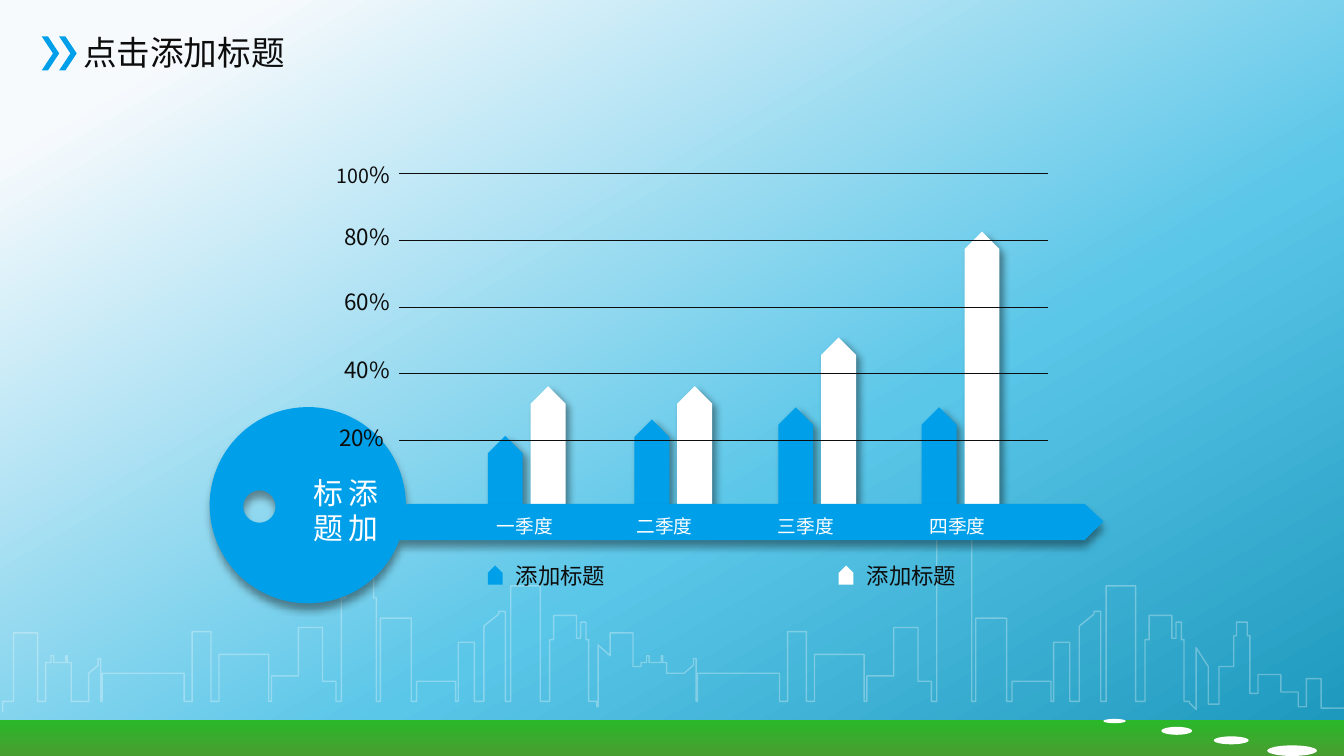
import math

import lxml.etree
import pptx
import pptx.dml.color
import pptx.enum.dml
import pptx.enum.shapes
import pptx.enum.text
import pptx.oxml
import pptx.oxml.ns
import pptx.util

Cm, Pt = pptx.util.Cm, pptx.util.Pt
KIND = pptx.enum.shapes.MSO_SHAPE
ALIGN = pptx.enum.text.PP_ALIGN
qn = pptx.oxml.ns.qn

FONT = "Noto Sans CJK SC"
COLORS = {"blue": "009FE9", "white": "FFFFFF", "ink": "0D0D0D", "shade": "000000",
          "deep": "1A96BB", "sky": "5AC6E8", "haze": "F7FAFD",
          "moss": "499D2F", "grass": "2AB82A"}

GRID = 0.0254  # cm per unit of the outline coordinates
STREET = 522
BLOCK_SHIFT = 443  # the same row of buildings stands twice

# Each step: height of a roof, its right edge, and its height there if it slopes
COTTAGE = [(493, 38), (488, 40), (493, 49), (488, 50), (493, 53)]
OFFICES = [(501, 73, 495), (490, 75), (STREET, 76), (501, 137), (STREET, 143), (470, 157),
           (STREET, 163), (487, 200), (STREET, 202), (503, 222), (467, 240), (507, 250),
           (STREET, 254)]
TOWERS = [(STREET, 283), (460, 306), (STREET, 310), (507, 339), (STREET, 341), (478, 353),
          (STREET, 360), (466, 371, 457), (455, 376), (STREET, 380), (436, 402),
          (STREET, 409), (476, 412), (458, 429), (475, 432), (463, 436), (476, 438)]
SPIRE = [(445, 257), (427, 263), (411, 266), (389, 266), (411, 270), (427, 278), (445, 280)]
SLAB = [(396, 280)]
EAST_END = [(STREET, 885), (523, 890, 528), (482, 899, 496), (524, 907), (496, 918),
            (473, 920), (463, 928), (473, 930), (516, 936), (502, 953), (515, 966),
            (526, 972), (505, 983), (527, 1000)]

STONES = [(20.85, 13.59, 0.43, 0.08), (21.95, 13.74, 0.58, 0.15),
          (22.94, 13.92, 0.66, 0.15), (23.95, 14.09, 0.94, 0.2)]

# Quarter, left of its label, left of its bars, heights of the blue and white bar
QUARTERS = [("一季度", 8.84, 9.22, 1.37, 2.31), ("二季度", 11.48, 11.99, 1.68, 2.31),
            ("三季度", 14.15, 14.71, 1.91, 3.23), ("四季度", 17.02, 17.42, 1.91, 5.23)]


def rgb(name):
    return pptx.dml.color.RGBColor.from_string(COLORS[name])


def paint(shape, color, shadow_angle=None):
    shape.shadow.inherit = False
    shape.line.fill.background()
    shape.fill.solid()
    shape.fill.fore_color.rgb = rgb(color)
    if shadow_angle is not None:
        effects = shape._element.spPr.find(qn("a:effectLst"))
        shadow = lxml.etree.SubElement(effects, qn("a:outerShdw"), blurRad=str(Pt(4)),
                                       dist=str(Pt(3)), dir=str(shadow_angle * 60000),
                                       algn="t", rotWithShape="0")
        tint = lxml.etree.SubElement(shadow, qn("a:srgbClr"), val=COLORS["shade"])
        lxml.etree.SubElement(tint, qn("a:alpha"), val="40000")


def add_preset(page, kind, left, top, width, height, color, adjust=(), shadow_angle=None):
    shape = page.shapes.add_shape(kind, Cm(left), Cm(top), Cm(width), Cm(height))
    for index, value in enumerate(adjust):
        shape.adjustments[index] = value
    paint(shape, color, shadow_angle)
    return shape


def add_gradient(page, top, height, stops, angle):
    shape = add_preset(page, KIND.RECTANGLE, 0, top, 25.4, height, stops[0][1])
    shape.fill.gradient()
    gradient = shape._element.spPr.find(qn("a:gradFill"))
    for child in list(gradient):
        gradient.remove(child)
    stop_list = lxml.etree.SubElement(gradient, qn("a:gsLst"))
    for position, color in stops:
        stop = lxml.etree.SubElement(stop_list, qn("a:gs"), pos=str(position * 1000))
        lxml.etree.SubElement(stop, qn("a:srgbClr"), val=COLORS[color])
    lxml.etree.SubElement(gradient, qn("a:lin"), ang=str(angle * 60000), scaled="0")


def add_outline(page, contours, close=True):
    contours = [[(Cm(x * GRID), Cm(y * GRID)) for x, y in points] for points in contours]
    builder = page.shapes.build_freeform(*contours[0][0])
    for index, points in enumerate(contours):
        if index:
            builder.move_to(*points[0])
        builder.add_line_segments(points[1:], close=close)
    return builder.convert_to_shape()


def format_span(span, size, color):
    span.font.size = Pt(size)
    span.font.name = FONT
    span.font.color.rgb = rgb(color)
    lxml.etree.SubElement(span._r.get_or_add_rPr(), qn("a:ea"), typeface=FONT)


def add_text(page, left, top, width, height, lines, size, color="ink", align=ALIGN.LEFT):
    box = page.shapes.add_textbox(Cm(left), Cm(top), Cm(width), Cm(height))
    frame = box.text_frame
    frame.text = lines
    frame.word_wrap = True
    frame.auto_size = pptx.enum.text.MSO_AUTO_SIZE.SHAPE_TO_FIT_TEXT
    for para in frame.paragraphs:
        para.alignment = align
        for span in para.runs:
            format_span(span, size, color)
    return box


def add_gridline(page, top):
    line = page.shapes.add_connector(pptx.enum.shapes.MSO_CONNECTOR.STRAIGHT,
                                     Cm(7.54), Cm(top), Cm(19.79), Cm(top))
    line.line.color.rgb = rgb("ink")
    line.line.width = Pt(0.25)
    line.line.dash_style = pptx.enum.dml.MSO_LINE.ROUND_DOT
    lxml.etree.SubElement(line._element.spPr, qn("a:effectLst"))


def arc(x, y, radius, start, end, steps=90):
    angles = [math.radians(start + (end - start) * i / steps) for i in range(steps + 1)]
    return [(x + radius * math.cos(a), y + radius * math.sin(a)) for a in angles]


def city_block(shift, yard, alley, landmark):
    steps = [(471, 28), (yard, 34), *COTTAGE, (alley, 66), *OFFICES, *landmark, *TOWERS]
    return [(height, right + shift, *slope) for height, right, *slope in steps]


def add_skyline(page):
    steps = [(STREET, 10), *city_block(0, STREET, STREET, SPIRE),
             (STREET, 444), (526, 445), (480, 454, 488),
             *city_block(BLOCK_SHIFT, 496, 501, SLAB), *EAST_END]
    points = [(2, 530)]
    for height, right, *slope in steps:
        points += [(points[-1][0], height), (right, slope[0] if slope else height)]
    shape = add_outline(page, [points], close=False)
    shape.shadow.inherit = False
    shape.fill.background()
    shape.line.width = Pt(0.75)
    shape.line.color.rgb = rgb("white")
    tint = shape._element.spPr.find(qn("a:ln")).find(".//" + qn("a:srgbClr"))
    lxml.etree.SubElement(tint, qn("a:alpha"), val="30000")


def add_key(page):
    hole = arc(193, 377, 12, 0, -360)
    body = arc(229, 376, 73, 20.6, 360) + [(303, 375), (807, 375), (821, 388),
                                           (807, 402), (298, 402)]
    paint(add_outline(page, [hole, body]), "blue", 90)
    box = add_text(page, 5.44, 8.79, 1.88, 1.6, "添加\n标题", 16, "white", ALIGN.JUSTIFY)
    box.text_frame.word_wrap = False
    box.text_frame._txBody.bodyPr.set("vert", "eaVert")
    for para in box.text_frame.paragraphs:
        para.runs[0]._r.get_or_add_rPr().set("spc", "300")


def main():
    deck = pptx.Presentation()
    deck.slide_width, deck.slide_height = Cm(25.4), Cm(14.29)
    page = deck.slides.add_slide(deck.slide_layouts[6])

    # Scenery
    add_gradient(page, 0, 14.29, [(0, "deep"), (39, "sky"), (90, "haze")], 240)
    add_gradient(page, 13.61, 0.68, [(0, "moss"), (100, "grass")], 270)
    add_skyline(page)
    for stone in STONES:
        add_preset(page, KIND.OVAL, *stone, "white")

    # Title
    title = add_text(page, 1.32, 0.89, 4.83, 0.61, "点击添加标题", 18)
    title.text_frame.paragraphs[0].line_spacing = Pt(10)
    for left in (0.79, 1.12):
        add_preset(page, KIND.CHEVRON, left, 0.69, 0.33, 0.64, "blue", [0.64])

    # Bars, then the key they stand on
    for _, _, left, *heights in QUARTERS:
        for index, (height, color) in enumerate(zip(heights, ("blue", "white"))):
            add_preset(page, KIND.UP_ARROW, left + 0.81 * index, 9.61 - height, 0.66, height,
                       color, [1, 0.5], 45)
    add_key(page)
    for quarter, left, *_ in QUARTERS:
        add_text(page, left, 9.6, 2.16, 0.53, quarter, 10, "white", ALIGN.CENTER)

    # Legend
    for left, color in ((9.22, "blue"), (15.85, "white")):
        add_preset(page, KIND.UP_ARROW, left, 10.69, 0.28, 0.36, color, [1, 0.5])
        add_text(page, left + 0.28, 10.5, 2.84, 0.76, "添加标题", 12)

    # Scale
    top_label = add_text(page, 5.16, 2.92, 2.46, 0.76, "100", 10.5, align=ALIGN.RIGHT)
    percent = top_label.text_frame.paragraphs[0].add_run()
    percent.text = "%"
    format_span(percent, 12, "ink")
    for label, left, top in (("80%", 5.16, 4.09), ("60%", 5.16, 5.33),
                             ("40%", 5.16, 6.6), ("20%", 5.06, 7.9)):
        add_text(page, left, top, 2.46, 0.76, label, 12, align=ALIGN.RIGHT)
    for index in range(5):
        add_gridline(page, 3.28 + 1.26 * index)

    deck.save("out.pptx")


if __name__ == "__main__":
    main()
